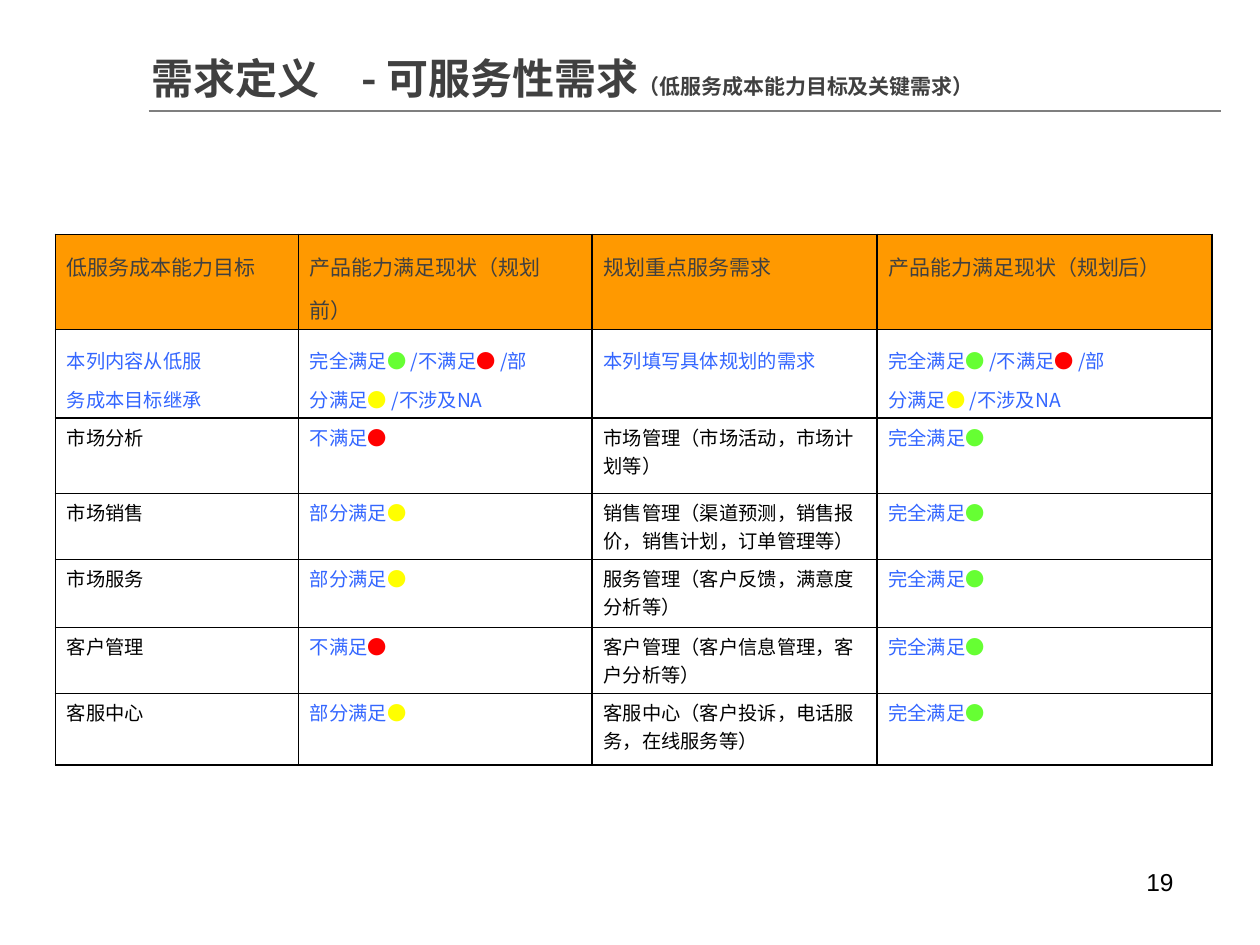
import dataclasses

import lxml.etree
import pptx
import pptx.dml.color
import pptx.enum.shapes
import pptx.enum.text
import pptx.oxml.ns
import pptx.util

Inches = pptx.util.Inches
qn = pptx.oxml.ns.qn


@dataclasses.dataclass(frozen=True)
class Theme:
    cjk: str = "Noto Sans CJK SC"
    latin: str = "Arial"
    gray: str = "404040"
    rule: str = "7F7F7F"
    black: str = "000000"
    blue: str = "3366FF"
    green: str = "66FF33"
    red: str = "FF0000"
    yellow: str = "FFFF00"
    head: str = "FF9900"
    title: int = 24
    sub: int = 12
    cell: int = 11
    page: int = 14


THEME = Theme()
STATES = {"完全满足": THEME.green, "不满足": THEME.red, "部分满足": THEME.yellow}
HEADS = ["低服务成本能力目标", "产品能力满足现状（规划前）",
         "规划重点服务需求", "产品能力满足现状（规划后）"]
ITEMS = [
    ("市场分析", "不满足", "市场管理（市场活动，市场计划等）"),
    ("市场销售", "部分满足", "销售管理（渠道预测，销售报价，销售计划，订单管理等）"),
    ("市场服务", "部分满足", "服务管理（客户反馈，满意度分析等）"),
    ("客户管理", "不满足", "客户管理（客户信息管理，客户分析等）"),
    ("客服中心", "部分满足", "客服中心（客户投诉，电话服务，在线服务等）"),
]
COLS = [1.93, 2.33, 2.26, 2.66]
ROWS = [0.34, 0.57, 0.6, 0.5, 0.54, 0.52, 0.57]


def rgb(code):
    return pptx.dml.color.RGBColor.from_string(code)


def style(run, size, color, face=THEME.cjk, bold=False):
    font = run.font
    font.size = pptx.util.Pt(size)
    font.name = face
    font.bold = bold
    font.color.rgb = rgb(color)
    # East Asian glyphs take their own typeface
    east = lxml.etree.Element(qn("a:ea"), typeface=face)
    run._r.rPr.find(qn("a:latin")).addnext(east)


def add_run(para, text, size, color, **look):
    run = para.add_run()
    run.text = text
    style(run, size, color, **look)


def border(cell):
    props = cell._tc.get_or_add_tcPr()
    for spot, side in enumerate(("lnL", "lnR", "lnT", "lnB")):
        line = lxml.etree.Element(qn("a:" + side), w=str(pptx.util.Pt(1)))
        fill = lxml.etree.SubElement(line, qn("a:solidFill"))
        lxml.etree.SubElement(fill, qn("a:srgbClr"), val=THEME.black)
        props.insert(spot, line)


def fill_cell(cell, lines, size=THEME.cell, fill=None, space=None):
    """Each line is a list of (text, color) pairs."""
    cell.margin_left = cell.margin_right = Inches(0.09)
    cell.margin_top = cell.margin_bottom = Inches(0.04)
    if fill:
        cell.fill.solid()
        cell.fill.fore_color.rgb = rgb(fill)
    else:
        cell.fill.background()
    border(cell)
    frame = cell.text_frame
    for num, parts in enumerate(lines):
        para = frame.add_paragraph() if num else frame.paragraphs[0]
        if space:
            para.line_spacing = space
        for text, color in parts:
            add_run(para, text, size, color)


def state(word):
    return [(word, THEME.blue), ("●", STATES[word])]


def legend():
    blue, dot = THEME.blue, "● "
    return [
        [("完全满足", blue), (dot, THEME.green), ("/不满足", blue),
         (dot, THEME.red), ("/部", blue)],
        [("分满足", blue), (dot, THEME.yellow), ("/不涉及NA", blue)],
    ]


def add_title(slide):
    shape = slide.shapes.title
    shape.left, shape.top = Inches(1.1), Inches(0.35)
    shape.width, shape.height = Inches(7.46), Inches(0.53)
    frame = shape.text_frame
    frame.word_wrap = True
    frame.margin_top = frame.margin_bottom = 0
    frame.vertical_anchor = pptx.enum.text.MSO_ANCHOR.MIDDLE
    para = frame.paragraphs[0]
    para.alignment = pptx.enum.text.PP_ALIGN.LEFT
    add_run(para, "需求定义　- 可服务性需求", THEME.title, THEME.gray, bold=True)
    add_run(para, "（低服务成本能力目标及关键需求）", THEME.sub, THEME.gray, bold=True)


def add_rule(slide):
    line = slide.shapes.add_connector(
        pptx.enum.shapes.MSO_CONNECTOR.STRAIGHT,
        Inches(1.18), Inches(0.88), Inches(9.69), Inches(0.88))
    line.line.color.rgb = rgb(THEME.rule)
    line.line.width = pptx.util.Pt(1)
    lxml.etree.SubElement(line._element.spPr, qn("a:effectLst"))


def add_grid(slide):
    table = slide.shapes.add_table(
        len(ROWS), len(COLS), Inches(0.44), Inches(1.86),
        Inches(sum(COLS)), Inches(sum(ROWS))).table
    table.first_row = table.horz_banding = False
    for col, width in zip(table.columns, COLS):
        col.width = Inches(width)
    for row, height in zip(table.rows, ROWS):
        row.height = Inches(height)

    # Header row
    for num, text in enumerate(HEADS):
        fill_cell(table.cell(0, num), [[(text, THEME.gray)]],
                  THEME.sub, THEME.head, 1.4)

    # Guide row
    guide = [
        [[("本列内容从低服", THEME.blue)], [("务成本目标继承", THEME.blue)]],
        legend(),
        [[("本列填写具体规划的需求", THEME.blue)]],
        legend(),
    ]
    for num, lines in enumerate(guide):
        fill_cell(table.cell(1, num), lines, space=1.4)

    # Goal rows
    for row, (goal, before, need) in enumerate(ITEMS, 2):
        cells = [[(goal, THEME.black)], state(before),
                 [(need, THEME.black)], state("完全满足")]
        for num, parts in enumerate(cells):
            fill_cell(table.cell(row, num), [parts])


def add_page(slide):
    box = slide.shapes.add_textbox(
        Inches(9), Inches(6.83), Inches(0.5), Inches(0.52))
    frame = box.text_frame
    frame.word_wrap = True
    frame.text = "19"
    style(frame.paragraphs[0].runs[0], THEME.page, THEME.black, THEME.latin)


def main():
    deck = pptx.Presentation()
    deck.slide_width, deck.slide_height = Inches(10), Inches(7.5)
    slide = deck.slides.add_slide(deck.slide_layouts[5])
    add_grid(slide)
    add_page(slide)
    add_rule(slide)
    add_title(slide)
    deck.save("out.pptx")


if __name__ == "__main__":
    main()
